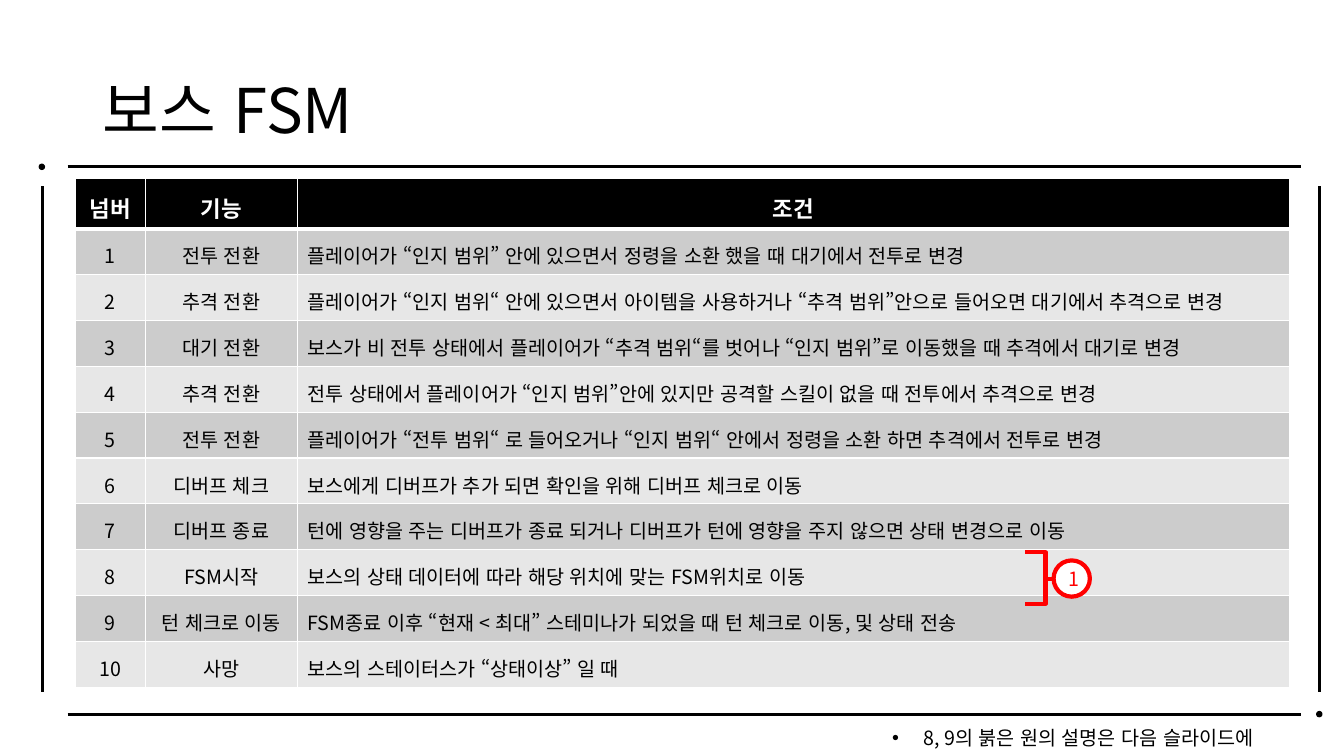
from lxml import etree
from pptx import Presentation
from pptx.dml.color import RGBColor
from pptx.enum.lang import MSO_LANGUAGE_ID
from pptx.enum.shapes import MSO_CONNECTOR, MSO_SHAPE
from pptx.enum.text import MSO_ANCHOR, PP_ALIGN
from pptx.oxml.ns import qn
from pptx.util import Inches, Pt

STRAIGHT = MSO_CONNECTOR.STRAIGHT
OVAL, RIGHT_BRACE = MSO_SHAPE.OVAL, MSO_SHAPE.RIGHT_BRACE
MIDDLE = MSO_ANCHOR.MIDDLE
LEFT, CENTER = PP_ALIGN.LEFT, PP_ALIGN.CENTER
KOREAN = MSO_LANGUAGE_ID.KOREAN

FONT = "Noto Sans CJK KR"
COLORS = {"ink": "000000", "paper": "FFFFFF", "odd": "CCCCCC", "even": "E7E7E7", "mark": "FF0000"}

TITLE = "보스 FSM"
HEADERS = ("넘버", "기능", "조건")
STATES = [
    ("전투 전환", "플레이어가 “인지 범위” 안에 있으면서 정령을 소환 했을 때 대기에서 전투로 변경"),
    ("추격 전환", "플레이어가 “인지 범위“ 안에 있으면서 아이템을 사용하거나 “추격 범위”안으로 들어오면 대기에서 추격으로 변경"),
    ("대기 전환", "보스가 비 전투 상태에서 플레이어가 “추격 범위“를 벗어나 “인지 범위”로 이동했을 때 추격에서 대기로 변경"),
    ("추격 전환", "전투 상태에서 플레이어가 “인지 범위”안에 있지만 공격할 스킬이 없을 때 전투에서 추격으로 변경"),
    ("전투 전환", "플레이어가 “전투 범위“ 로 들어오거나 “인지 범위“ 안에서 정령을 소환 하면 추격에서 전투로 변경"),
    ("디버프 체크", "보스에게 디버프가 추가 되면 확인을 위해 디버프 체크로 이동"),
    ("디버프 종료", "턴에 영향을 주는 디버프가 종료 되거나 디버프가 턴에 영향을 주지 않으면 상태 변경으로 이동"),
    ("FSM시작", "보스의 상태 데이터에 따라 해당 위치에 맞는 FSM위치로 이동"),
    ("턴 체크로 이동", "FSM종료 이후 “현재 < 최대” 스테미나가 되었을 때 턴 체크로 이동, 및 상태 전송"),
    ("사망", "보스의 스테이터스가 “상태이상” 일 때"),
]
NOTE = "8, 9의 붉은 원의 설명은 다음 슬라이드에"
MARK = "1"

FRAME_LINES = [
    (0.67, 1.65, 12.9, 1.65),
    (0.67, 7.09, 12.9, 7.09),
    (0.42, 1.85, 0.42, 6.87),
    (13.09, 1.85, 13.09, 6.87),
]
FRAME_DOTS = [(13.06, 7.06), (0.39, 1.63)]
DOT_SIZE = 0.05
TABLE_LEFT, TABLE_TOP, TABLE_HEIGHT = 0.75, 1.77, 5.05
COLUMN_WIDTHS = (0.69, 1.51, 9.84)
HEADER_HEIGHT = 0.5
ROW_HEIGHT = (TABLE_HEIGHT - HEADER_HEIGHT) / len(STATES)


def rgb(name):
    return RGBColor.from_string(COLORS[name])


def write(frame, text, size, color="ink", align=LEFT, bold=False, spacing=None):
    frame.text = text
    paragraph = frame.paragraphs[0]
    paragraph.alignment = align
    if spacing:
        paragraph.line_spacing = spacing
    font = paragraph.runs[0].font
    font.size, font.bold, font.name = Pt(size), bold, FONT
    font.language_id = KOREAN
    font.color.rgb = rgb(color)
    run_properties = paragraph.runs[0]._r.get_or_add_rPr()
    etree.SubElement(run_properties, qn("a:ea")).set("typeface", FONT)


def add_outlined(kind, box, line_color, line_width, fill=None):
    shape = slide.shapes.add_shape(kind, *map(Inches, box))
    shape.shadow.inherit = False
    shape.line.color.rgb = rgb(line_color)
    shape.line.width = Pt(line_width)
    if fill:
        shape.fill.solid()
        shape.fill.fore_color.rgb = rgb(fill)
    else:
        shape.fill.background()
    return shape


def add_text_box(box):
    frame = slide.shapes.add_textbox(*map(Inches, box)).text_frame
    frame.word_wrap = True
    return frame


def set_borders(cell, top, bottom):
    """Draw white cell borders; top and bottom widths are in points."""
    properties = cell._tc.get_or_add_tcPr()
    for side, width in (("L", 1), ("R", 1), ("T", top), ("B", bottom)):
        border = etree.SubElement(properties, qn(f"a:ln{side}"), w=str(Pt(width)))
        fill = etree.SubElement(border, qn("a:solidFill"))
        etree.SubElement(fill, qn("a:srgbClr"), val=COLORS["paper"])


def add_state_table():
    rows = [HEADERS] + [(str(n), *state) for n, state in enumerate(STATES, 1)]
    table = slide.shapes.add_table(
        len(rows), len(HEADERS), Inches(TABLE_LEFT), Inches(TABLE_TOP),
        Inches(sum(COLUMN_WIDTHS)), Inches(TABLE_HEIGHT)).table
    for column, width in zip(table.columns, COLUMN_WIDTHS):
        column.width = Inches(width)
    for r, row in enumerate(rows):
        header = r == 0
        table.rows[r].height = Inches(HEADER_HEIGHT if header else ROW_HEIGHT)
        fill = "ink" if header else ("odd" if r % 2 else "even")
        for c, text in enumerate(row):
            cell = table.cell(r, c)
            cell.vertical_anchor = MIDDLE
            set_borders(cell, top=3 if r == 1 else 1, bottom=3 if header else 1)
            cell.fill.solid()
            cell.fill.fore_color.rgb = rgb(fill)
            write(cell.text_frame, text, 16 if header else 14,
                  "paper" if header else "ink",
                  CENTER if header or c < 2 else LEFT, header, 1.25)


prs = Presentation()
prs.slide_width, prs.slide_height = Inches(13.33), Inches(7.5)
slide = prs.slides.add_slide(prs.slide_layouts[6])

for ends in FRAME_LINES:
    rule = slide.shapes.add_connector(STRAIGHT, *map(Inches, ends))
    rule.line.color.rgb = rgb("ink")
    rule.line.width = Pt(2.25)
    etree.SubElement(rule._element.spPr, qn("a:effectLst"))
for left, top in FRAME_DOTS:
    add_outlined(OVAL, (left, top, DOT_SIZE, DOT_SIZE), "ink", 1, "ink")

title = add_text_box((0.92, 0.4, 11.5, 1.45))
title.vertical_anchor = MIDDLE
write(title, TITLE, 44, spacing=0.9)

add_state_table()

note = add_text_box((8.75, 7.15, 4.13, 0.34))
write(note, NOTE, 14)
note_properties = note.paragraphs[0]._p.get_or_add_pPr()
note_properties.set("marL", str(Inches(0.31)))
note_properties.set("indent", str(-Inches(0.31)))
etree.SubElement(note_properties, qn("a:buFont"), typeface="Arial")
etree.SubElement(note_properties, qn("a:buChar"), char="•")

brace = add_outlined(RIGHT_BRACE, (10.17, 5.48, 0.4, 0.51), "mark", 3)
brace.adjustments[0], brace.adjustments[1] = 0, 0.52
circle = add_outlined(OVAL, (10.45, 5.56, 0.36, 0.36), "mark", 3, "paper")
circle.text_frame.vertical_anchor = MIDDLE
write(circle.text_frame, MARK, 14, "mark", CENTER)

prs.save("out.pptx")
